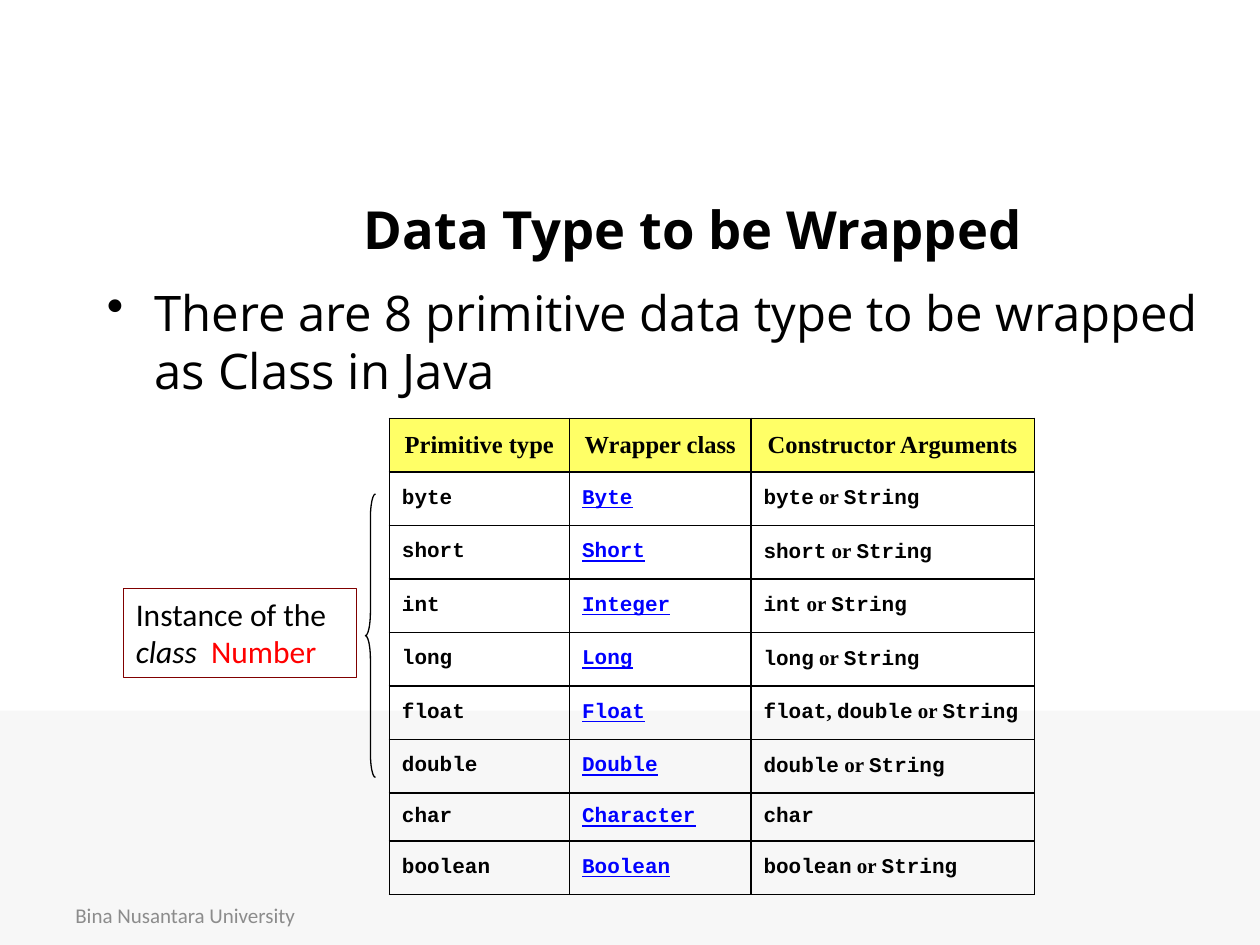
from pptx import Presentation
from pptx.dml.color import RGBColor
from pptx.enum.shapes import MSO_SHAPE
from pptx.enum.text import MSO_ANCHOR, MSO_AUTO_SIZE, PP_ALIGN
from pptx.oxml import parse_xml
from pptx.oxml.ns import nsdecls
from pptx.util import Inches, Pt

RECTANGLE, LEFT_BRACE = MSO_SHAPE.RECTANGLE, MSO_SHAPE.LEFT_BRACE
MIDDLE, TOP = MSO_ANCHOR.MIDDLE, MSO_ANCHOR.TOP
CENTER, LEFT = PP_ALIGN.CENTER, PP_ALIGN.LEFT
GROW = MSO_AUTO_SIZE.SHAPE_TO_FIT_TEXT

BLACK = RGBColor(0x00, 0x00, 0x00)
GREY = RGBColor(0x8C, 0x8C, 0x8C)
PALE = RGBColor(0xF7, 0xF7, 0xF7)
YELLOW = RGBColor(0xFF, 0xFF, 0x66)
BLUE = RGBColor(0x00, 0x00, 0xFF)
RED = RGBColor(0xFF, 0x00, 0x00)
MAROON = RGBColor(0x80, 0x00, 0x00)

HEADING, PLAIN, CODE, SERIF = "Open Sans", "Calibri", "Courier New", "Times New Roman"

HEADERS = ["Primitive type", "Wrapper class", "Constructor Arguments"]
WRAPPERS = [
    ("byte", "Byte", ["byte", " or ", "String"]),
    ("short", "Short", ["short", " or ", "String"]),
    ("int", "Integer", ["int", " or ", "String"]),
    ("long", "Long", ["long", " or ", "String"]),
    ("float", "Float", ["float", ", ", "double", " or ", "String"]),
    ("double", "Double", ["double", " or ", "String"]),
    ("char", "Character", ["char"]),
    ("boolean", "Boolean", ["boolean", " or ", "String"]),
]
COLUMN_WIDTHS = [14.3, 14.4, 22.5]
ROW_HEIGHT, CHAR_ROW_HEIGHT = 4.25, 3.8


class Page:
    """One slide on a grid of 100 columns by 75 rows."""

    def __init__(self, deck):
        self.slide = deck.slides.add_slide(deck.slide_layouts[6])
        self.unit = deck.slide_width / 100

    def grid(self, *lengths):
        return [round(length * self.unit) for length in lengths]

    def style(self, font, name=None, size=None, color=None, bold=None, italic=None,
              underline=None):
        if name:
            font.name = name
        if size:
            font.size = Pt(size)
        if color is not None:
            font.color.rgb = color
        font.bold, font.italic, font.underline = bold, italic, underline

    def fill_para(self, para, spans, align=LEFT, hanging=False, bullet=None, **look):
        """Fill a paragraph with (text, own style) spans over a shared look."""
        para.alignment = align
        if hanging:
            properties = para._p.get_or_add_pPr()
            properties.set("marL", str(Inches(0.38)))
            properties.set("indent", str(Inches(-0.38)))
            if bullet:
                properties.append(parse_xml(f'<a:buChar {nsdecls("a")} char="{bullet}"/>'))
        self.style(para.font, **look)
        for text, own in spans:
            span = para.add_run()
            span.text = text
            self.style(span.font, **own)

    def text(self, at, text, anchor=TOP, spacing=None, **look):
        frame = self.slide.shapes.add_textbox(*self.grid(*at)).text_frame
        frame.word_wrap = True
        frame.vertical_anchor = anchor
        para = frame.paragraphs[0]
        self.fill_para(para, [(text, {})], **look)
        if spacing:
            para.line_spacing = spacing

    def shape(self, kind, at, fill=None, line=None):
        shape = self.slide.shapes.add_shape(kind, *self.grid(*at))
        shape.shadow.inherit = False
        if fill is None:
            shape.fill.background()
        else:
            shape.fill.solid()
            shape.fill.fore_color.rgb = fill
        if line is None:
            shape.line.fill.background()
        else:
            shape.line.color.rgb = line
            shape.line.width = Pt(0.75)
        return shape

    def label(self, at, lines, line, **look):
        box = self.shape(RECTANGLE, at, line=line)
        frame = box.text_frame
        frame.word_wrap = True
        frame.auto_size = GROW
        frame.vertical_anchor = TOP
        for number, spans in enumerate(lines):
            para = frame.add_paragraph() if number else frame.paragraphs[0]
            self.fill_para(para, spans, **look)

    def table(self, left, top, widths, heights):
        at = self.grid(left, top, sum(widths), sum(heights))
        table = self.slide.shapes.add_table(len(heights), len(widths), *at).table
        table.first_row = table.horz_banding = False
        for column, width in zip(table.columns, self.grid(*widths)):
            column.width = width
        for row, height in zip(table.rows, self.grid(*heights)):
            row.height = height
        return table

    def cell(self, cell, spans, fill=None, **look):
        properties = cell._tc.get_or_add_tcPr()
        for side in "LRTB":
            properties.append(parse_xml(
                f'<a:ln{side} {nsdecls("a")} w="{Pt(1)}"><a:solidFill>'
                f'<a:srgbClr val="{BLACK}"/></a:solidFill></a:ln{side}>'))
        if fill is None:
            cell.fill.background()
        else:
            cell.fill.solid()
            cell.fill.fore_color.rgb = fill
        cell.vertical_anchor = MIDDLE
        self.fill_para(cell.text_frame.paragraphs[0], spans, hanging=True, bold=True, **look)


def add_wrapper_table(page):
    heights = [ROW_HEIGHT] + [
        CHAR_ROW_HEIGHT if primitive == "char" else ROW_HEIGHT
        for primitive, _, _ in WRAPPERS]
    table = page.table(30.9, 33.2, COLUMN_WIDTHS, heights)
    for column, header in enumerate(HEADERS):
        page.cell(table.cell(0, column), [(header, {})], fill=YELLOW, align=CENTER,
                  name=SERIF, size=14, color=BLACK)
    for row, (primitive, wrapper, arguments) in enumerate(WRAPPERS, start=1):
        argument_spans = [(part, {"name": SERIF if place % 2 else CODE})
                          for place, part in enumerate(arguments)]
        link = {"color": BLUE, "underline": True}
        contents = [[(primitive, {})], [(wrapper, link)], argument_spans]
        for column, spans in enumerate(contents):
            page.cell(table.cell(row, column), spans, name=CODE, size=12, color=BLACK)


def main():
    deck = Presentation()
    deck.slide_width, deck.slide_height = Inches(10), Inches(7.5)
    page = Page(deck)
    page.shape(RECTANGLE, (0, 56.4, 100, 18.6), fill=PALE)
    page.text((5, 70.6, 23.3, 4), "Bina Nusantara University", anchor=MIDDLE,
              name=PLAIN, size=12, color=GREY)
    page.text((10, 14.5, 90, 7.9), "Data Type to be Wrapped", anchor=MIDDLE, spacing=0.9,
              align=CENTER, name=HEADING, size=30, color=BLACK, bold=True)
    page.text((7.5, 21.9, 89.9, 11),
              "There are 8 primitive data type to be wrapped as Class in Java",
              hanging=True, bullet="•", name=HEADING, size=28, color=BLACK)
    add_wrapper_table(page)
    brace = page.shape(LEFT_BRACE, (29, 39.2, 0.8, 22.5), line=BLACK)
    brace.adjustments[0] = 2.35
    page.label((9.8, 46.7, 18.5, 7.1),
               [[("Instance of the", {})],
                [("class  ", {"italic": True}), ("Number", {"color": RED})]],
               line=MAROON, name=PLAIN, size=18, color=BLACK)
    deck.save("out.pptx")


if __name__ == "__main__":
    main()
